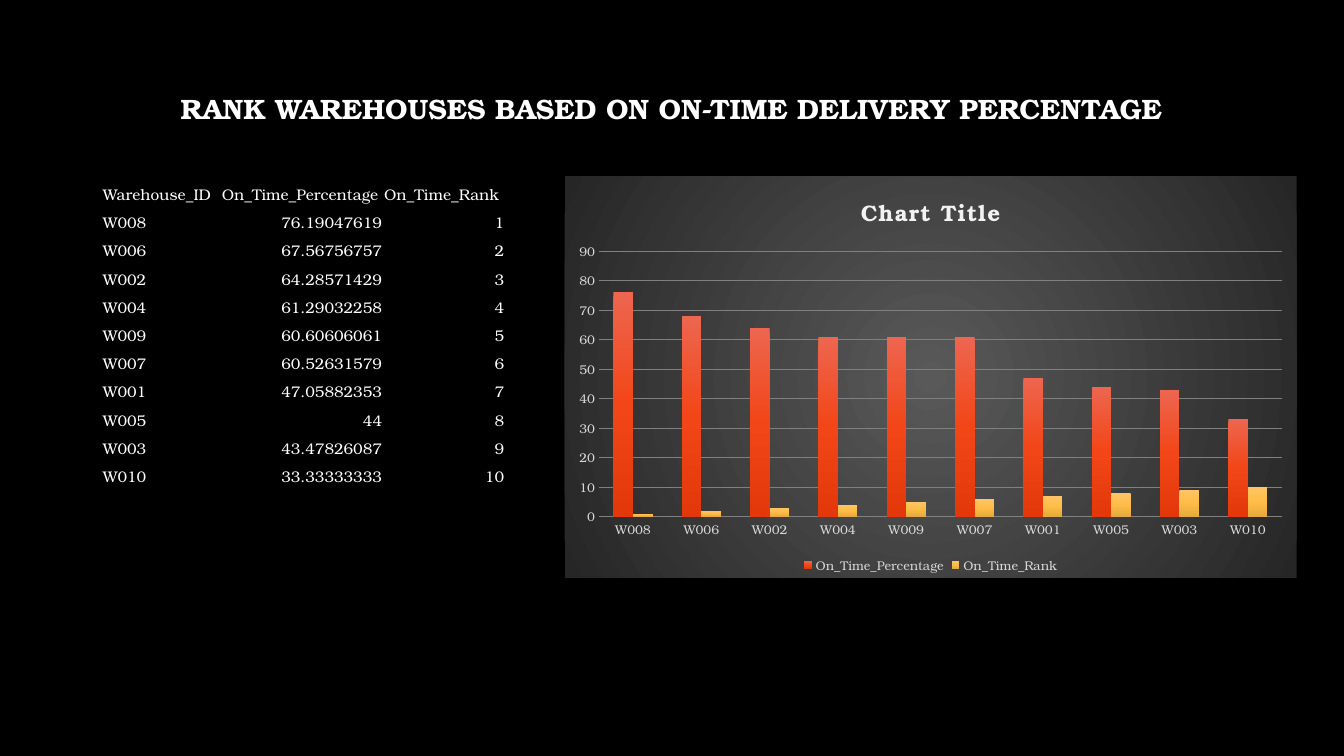
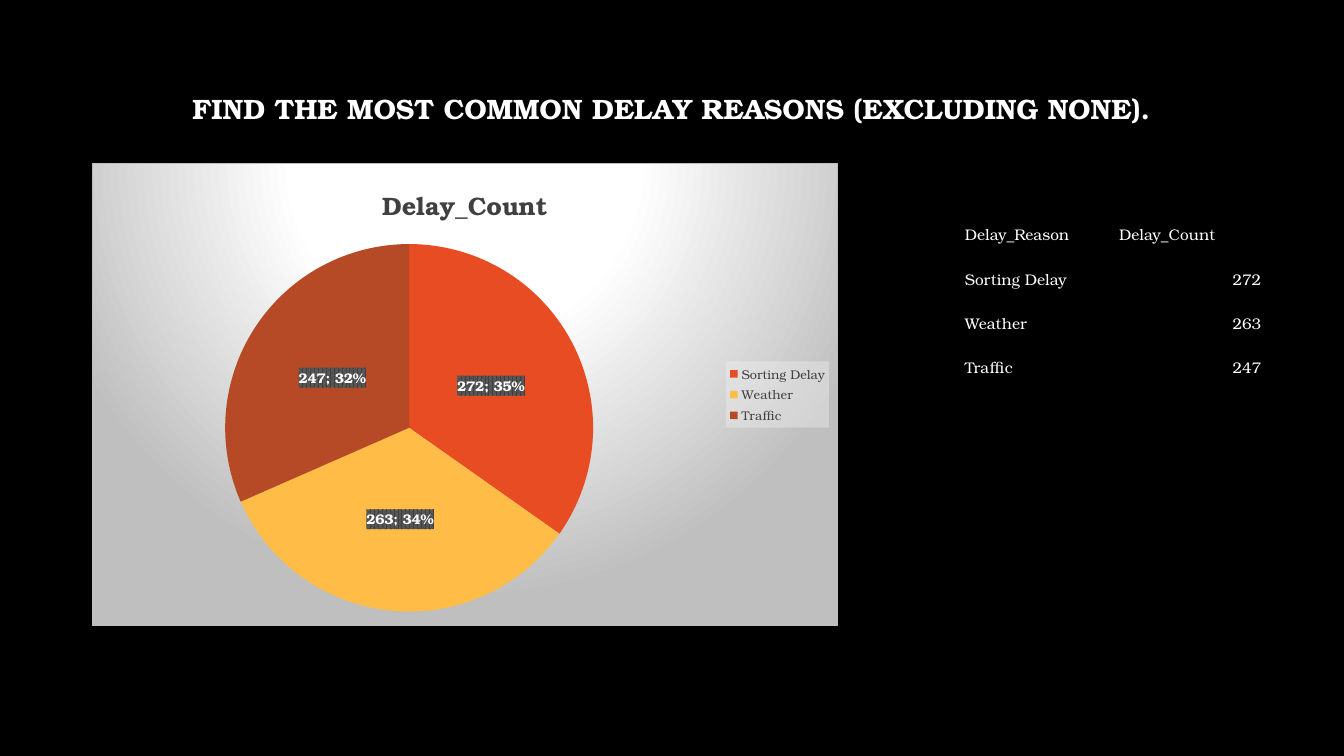
from dataclasses import dataclass

from lxml.etree import SubElement
from pptx import Presentation
from pptx.chart.data import CategoryChartData
from pptx.dml.color import RGBColor
from pptx.enum.chart import (XL_CHART_TYPE, XL_LABEL_POSITION,
                             XL_LEGEND_POSITION, XL_TICK_MARK)
from pptx.enum.text import MSO_ANCHOR, PP_ALIGN
from pptx.oxml.ns import qn
from pptx.util import Inches, Pt


@dataclass(frozen=True)
class Theme:
    font: str = "TeX Gyre Bonum"
    background: str = "000000"
    text: str = "FFFFFF"
    chart_title: str = "F2F2F2"
    axis_text: str = "D9D9D9"
    dark_text: str = "404040"
    label_stripe: str = "595959"
    gridline: str = "808080"
    border: str = "BFBFBF"
    legend_panel: str = "F2F2F2"
    pie_slices: tuple = ("E84C22", "FFBD47", "B64926")
    column_gradients: tuple = (
        ((0, "ED6650"), (50, "F24618"), (100, "E2380A")),
        ((0, "FFC466"), (50, "FFBD47"), (100, "E5A93D")),
    )
    dark_panel: tuple = ((0, "595959"), (100, "262626"))
    light_panel: tuple = ((0, "FFFFFF"), (39, "FFFFFF"), (100, "BFBFBF"))
    title_size: int = 20
    pie_title_size: int = 18
    column_title_size: int = 16
    table_size: int = 11
    chart_size: int = 10
    small_size: int = 9


THEME = Theme()
NO_TABLE_STYLE = "{2D5ABB26-0587-4C30-8999-92F81FD0307C}"

WAREHOUSE_ROWS = [
    ("Warehouse_ID", "On_Time_Percentage", "On_Time_Rank"),
    ("W008", "76.19047619", "1"),
    ("W006", "67.56756757", "2"),
    ("W002", "64.28571429", "3"),
    ("W004", "61.29032258", "4"),
    ("W009", "60.60606061", "5"),
    ("W007", "60.52631579", "6"),
    ("W001", "47.05882353", "7"),
    ("W005", "44", "8"),
    ("W003", "43.47826087", "9"),
    ("W010", "33.33333333", "10"),
]
DELAY_ROWS = [
    ("Delay_Reason", "Delay_Count"),
    ("Sorting Delay", "272"),
    ("Weather", "263"),
    ("Traffic", "247"),
]


def set_attributes(target, values):
    for name, value in values.items():
        setattr(target, name, value)


def style_font(font, size, color, bold=False):
    set_attributes(font, {"name": THEME.font, "size": Pt(size), "bold": bold})
    font.color.rgb = RGBColor.from_string(color)


def add_color(parent, color):
    return SubElement(parent, qn("a:srgbClr"), val=color)


def add_gradient(properties, stops, focus=None):
    """Fill from top to bottom, or in circles around focus (left, top, right, bottom in %)."""
    gradient = SubElement(properties, qn("a:gradFill"), rotWithShape="1")
    stop_list = SubElement(gradient, qn("a:gsLst"))
    for position, color in stops:
        add_color(SubElement(stop_list, qn("a:gs"), pos=str(position * 1000)), color)
    if focus is None:
        SubElement(gradient, qn("a:lin"), ang="5400000", scaled="0")
    else:
        circle = SubElement(gradient, qn("a:path"), path="circle")
        edges = {side: str(value * 1000) for side, value in zip("ltrb", focus)}
        SubElement(circle, qn("a:fillToRect"), **edges)


def add_properties(element):
    """Add shape properties to a chart part whose font is already set."""
    text_properties = element.find(qn("c:txPr"))
    properties = text_properties.makeelement(qn("c:spPr"))
    text_properties.addprevious(properties)
    return properties


def add_line(properties, color=None):
    line = SubElement(properties, qn("a:ln"), w=str(Pt(0.75)))
    if color:
        add_color(SubElement(line, qn("a:solidFill")), color)
    else:
        SubElement(line, qn("a:noFill"))


def add_titled_slide(presentation, title):
    slide = presentation.slides.add_slide(presentation.slide_layouts[6])
    text_box = slide.shapes.add_textbox(Inches(1), Inches(0.67), Inches(11.32), Inches(0.86))
    frame = text_box.text_frame
    set_attributes(frame, {"word_wrap": True, "vertical_anchor": MSO_ANCHOR.MIDDLE})
    paragraph = frame.paragraphs[0]
    set_attributes(paragraph, {"alignment": PP_ALIGN.CENTER, "line_spacing": 0.9})
    run = paragraph.add_run()
    run.text = title
    style_font(run.font, THEME.title_size, THEME.text, bold=True)
    return slide


def add_plain_table(slide, rows, left, top, column_widths, row_height):
    table = slide.shapes.add_table(
        len(rows), len(column_widths), Inches(left), Inches(top),
        Inches(sum(column_widths)), Inches(row_height * len(rows))).table
    set_attributes(table, {"first_row": False, "horz_banding": False})
    table._tbl.tblPr.find(qn("a:tableStyleId")).text = NO_TABLE_STYLE
    for column, width in zip(table.columns, column_widths):
        column.width = Inches(width)
    cell_format = {
        "margin_left": Inches(0.01), "margin_right": Inches(0.01),
        "margin_top": Inches(0.01), "margin_bottom": 0,
        "vertical_anchor": MSO_ANCHOR.BOTTOM,
    }
    for row_index, row in enumerate(rows):
        table.rows[row_index].height = Inches(row_height)
        for column_index, text in enumerate(row):
            cell = table.cell(row_index, column_index)
            set_attributes(cell, cell_format)
            cell.fill.background()
            paragraph = cell.text_frame.paragraphs[0]
            is_number = row_index > 0 and column_index > 0
            paragraph.alignment = PP_ALIGN.RIGHT if is_number else PP_ALIGN.LEFT
            run = paragraph.add_run()
            run.text = text
            style_font(run.font, THEME.table_size, THEME.text)


def add_chart(slide, chart_type, rows, left, top, width, height):
    """Chart the rows of a table: first column as categories, the others as series."""
    header, *records = rows
    categories, *columns = zip(*records)
    chart_data = CategoryChartData()
    chart_data.categories = categories
    for name, column in zip(header[1:], columns):
        chart_data.add_series(name, [round(float(value)) for value in column])
    chart = slide.shapes.add_chart(
        chart_type, Inches(left), Inches(top), Inches(width), Inches(height), chart_data).chart
    style_font(chart.font, THEME.chart_size, THEME.text)
    return chart


def add_chart_title(chart, text, size, color, spacing=0):
    chart.has_title = True
    chart.chart_title.include_in_layout = False
    run = chart.chart_title.text_frame.paragraphs[0].add_run()
    run.text = text
    style_font(run.font, size, color, bold=True)
    run._r.get_or_add_rPr().set("spc", str(spacing * 100))


def add_legend(chart, position, color):
    chart.has_legend = True
    set_attributes(chart.legend, {"position": position, "include_in_layout": False})
    style_font(chart.legend.font, THEME.small_size, color)


def paint_chart_area(chart, stops, focus, border=None):
    properties = add_properties(chart._chartSpace)
    add_gradient(properties, stops, focus)
    add_line(properties, border)


def style_axes(chart):
    for axis in (chart.category_axis, chart.value_axis):
        set_attributes(axis, {"major_tick_mark": XL_TICK_MARK.NONE,
                              "minor_tick_mark": XL_TICK_MARK.NONE})
        style_font(axis.tick_labels.font, THEME.small_size, THEME.axis_text)
        axis.format.line.fill.background()
    set_attributes(chart.value_axis, {"minimum_scale": 0, "maximum_scale": 90,
                                      "major_unit": 10, "has_major_gridlines": True})
    gridline = chart.value_axis.major_gridlines.format.line
    gridline.width = Pt(0.75)
    gridline.color.rgb = RGBColor.from_string(THEME.gridline)


def add_column_chart(slide):
    chart = add_chart(slide, XL_CHART_TYPE.COLUMN_CLUSTERED, WAREHOUSE_ROWS,
                      5.6, 1.75, 7.26, 3.98)
    add_chart_title(chart, "Chart Title", THEME.column_title_size, THEME.chart_title, spacing=1)
    add_legend(chart, XL_LEGEND_POSITION.BOTTOM, THEME.axis_text)
    paint_chart_area(chart, THEME.dark_panel, (50, 50, 50, 50))
    style_axes(chart)
    plot = chart.plots[0]
    set_attributes(plot, {"gap_width": 150, "vary_by_categories": False})
    for series, stops in zip(plot.series, THEME.column_gradients):
        add_gradient(series._element.get_or_add_spPr(), stops)


def style_slice_labels(series):
    labels = series.data_labels
    set_attributes(labels, {"show_value": True, "show_percentage": True,
                            "position": XL_LABEL_POSITION.CENTER})
    style_font(labels.font, THEME.chart_size, THEME.text, bold=True)
    pattern = SubElement(add_properties(labels._element), qn("a:pattFill"), prst="pct75")
    add_color(SubElement(pattern, qn("a:fgClr")), THEME.dark_text)
    add_color(SubElement(pattern, qn("a:bgClr")), THEME.label_stripe)


def add_pie_chart(slide):
    chart = add_chart(slide, XL_CHART_TYPE.PIE, DELAY_ROWS, 0.91, 1.62, 7.4, 4.59)
    add_chart_title(chart, "Delay_Count", THEME.pie_title_size, THEME.dark_text)
    add_legend(chart, XL_LEGEND_POSITION.RIGHT, THEME.dark_text)
    panel = SubElement(add_properties(chart.legend._element), qn("a:solidFill"))
    SubElement(add_color(panel, THEME.legend_panel), qn("a:alpha"), val="39000")
    paint_chart_area(chart, THEME.light_panel, (50, -80, 50, 180), THEME.border)
    plot = chart.plots[0]
    plot.vary_by_categories = True
    series = plot.series[0]
    for index, color in enumerate(THEME.pie_slices):
        fill = series.points[index].format.fill
        fill.solid()
        fill.fore_color.rgb = RGBColor.from_string(color)
    style_slice_labels(series)


def main():
    presentation = Presentation()
    set_attributes(presentation, {"slide_width": Inches(13.33), "slide_height": Inches(7.5)})
    background = presentation.slide_master.background.fill
    background.solid()
    background.fore_color.rgb = RGBColor.from_string(THEME.background)

    slide = add_titled_slide(presentation, "RANK WAREHOUSES BASED ON ON-TIME DELIVERY PERCENTAGE")
    add_plain_table(slide, WAREHOUSE_ROWS, 1.01, 1.75, (1.18, 1.61, 1.21), 0.28)
    add_column_chart(slide)

    slide = add_titled_slide(presentation, "FIND THE MOST COMMON DELAY REASONS (EXCLUDING NONE).")
    add_plain_table(slide, DELAY_ROWS, 9.56, 1.99, (1.53, 1.43), 0.44)
    add_pie_chart(slide)

    presentation.save("out.pptx")


if __name__ == "__main__":
    main()
